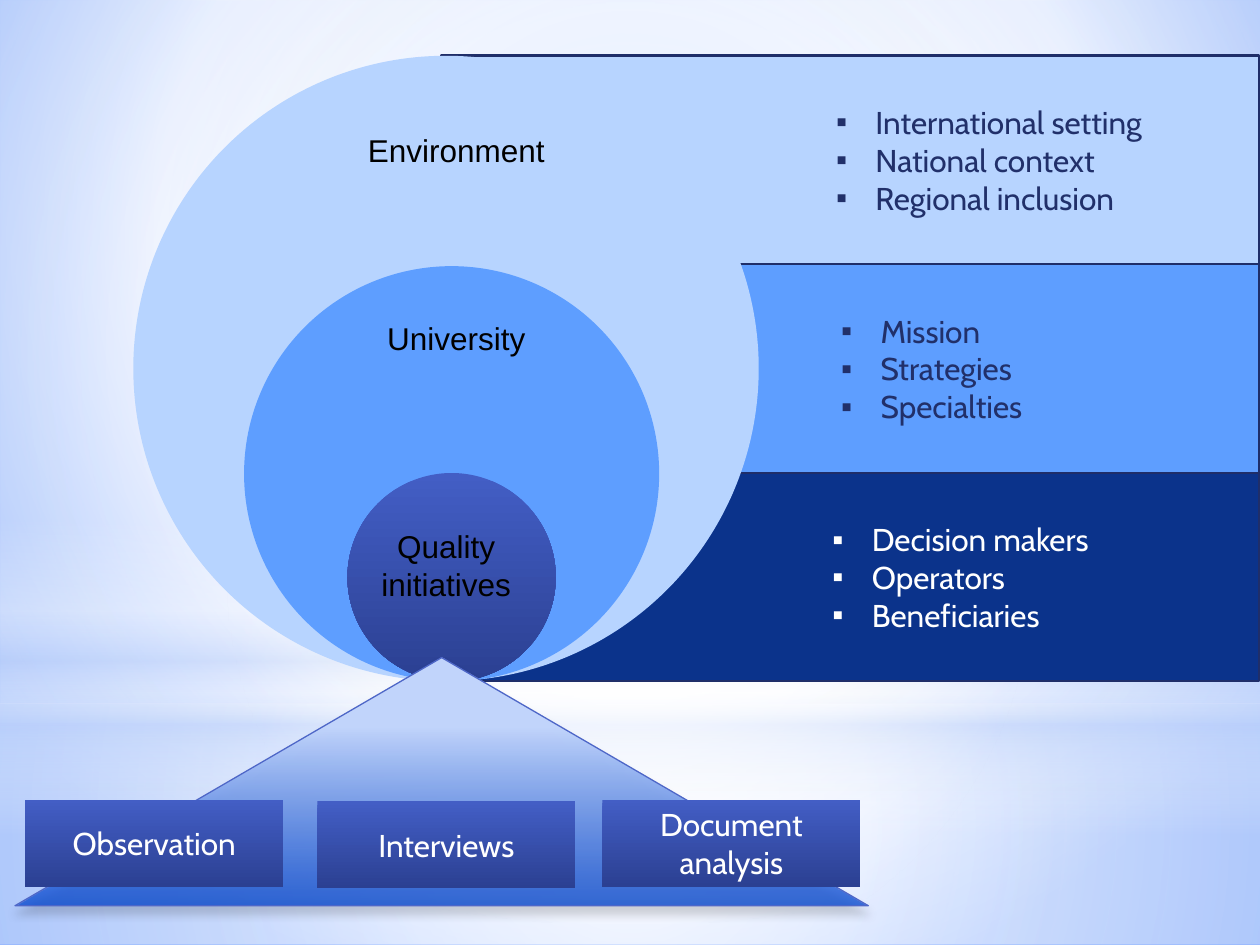
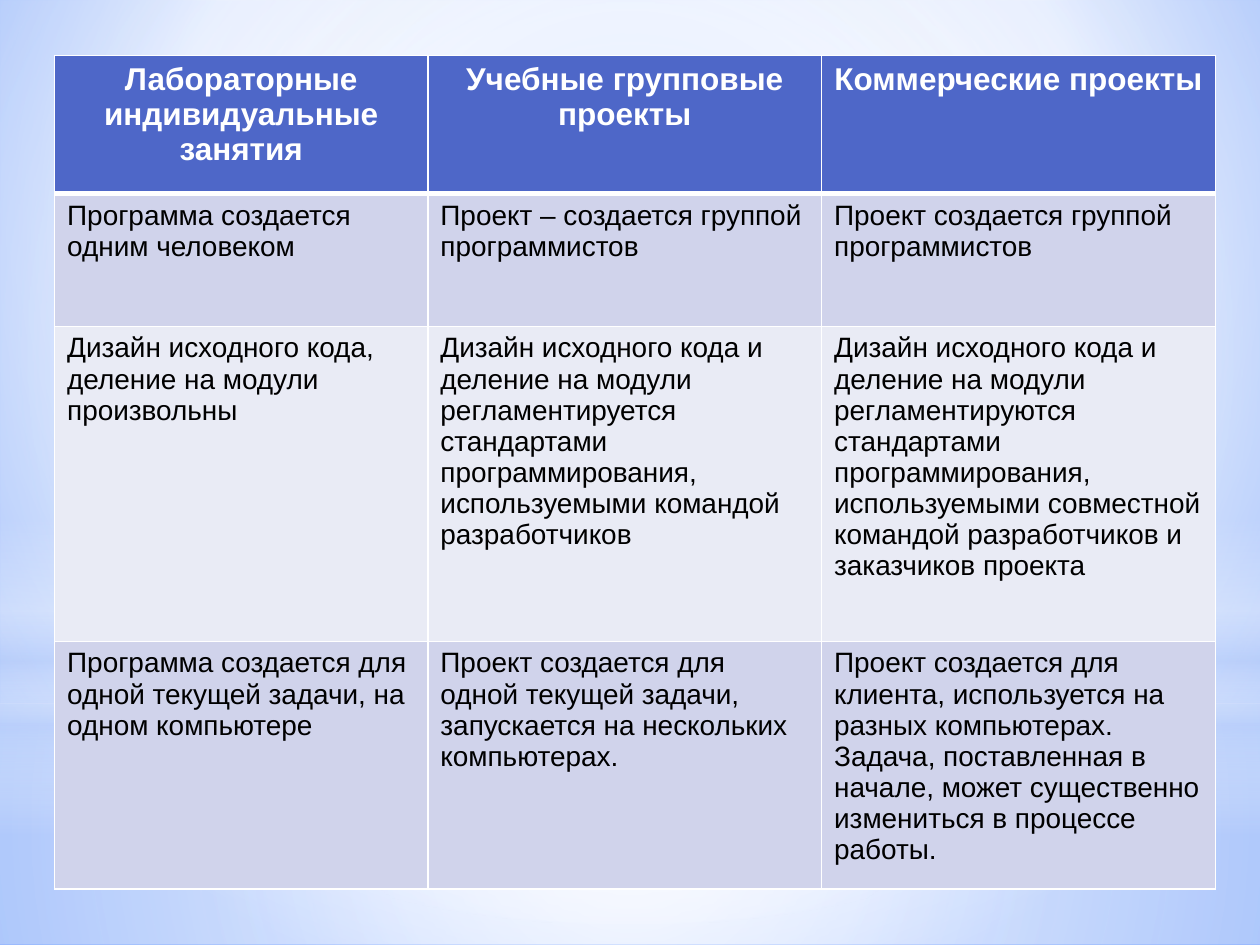
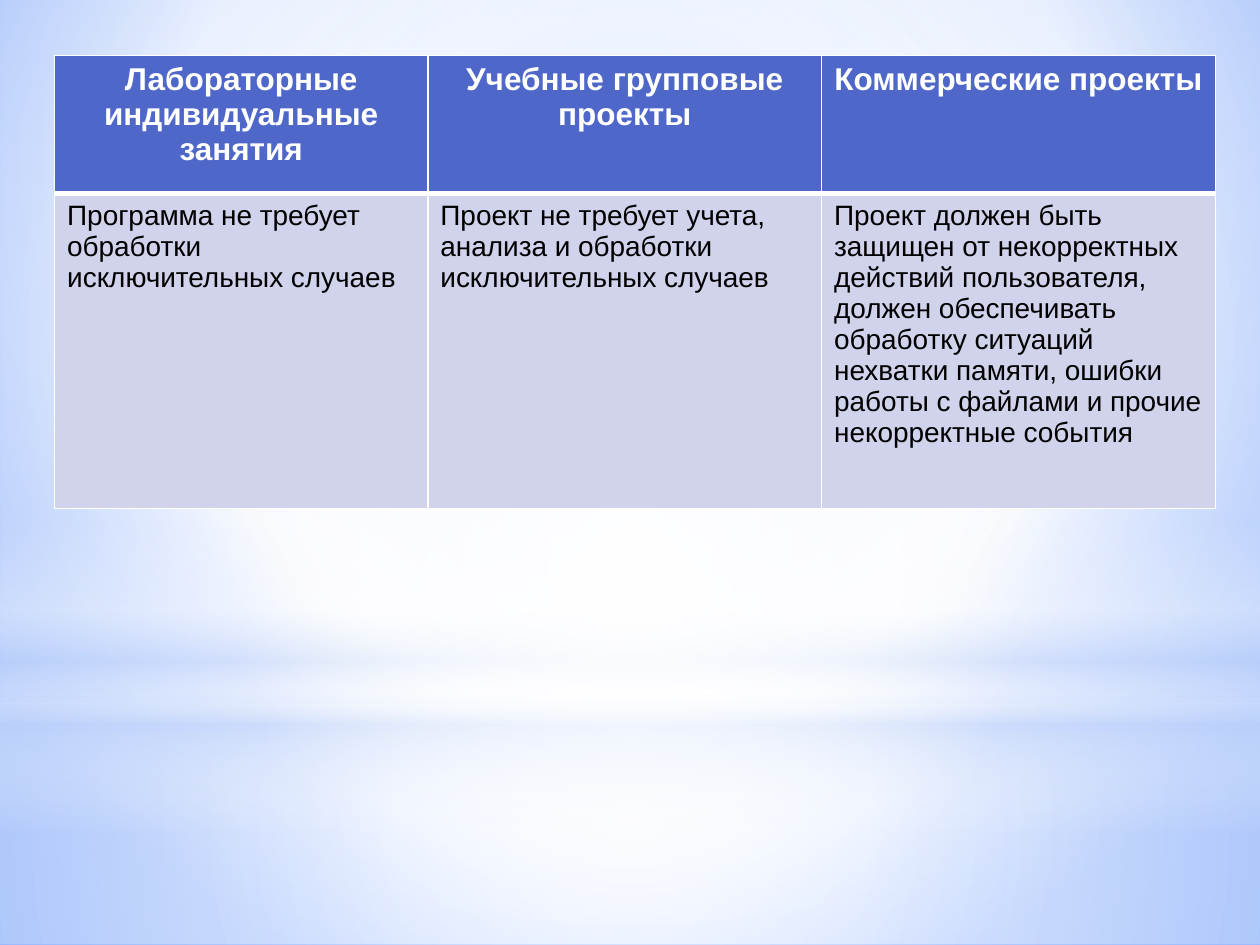
from dataclasses import dataclass

import pptx
import pptx.dml.color
import pptx.enum.shapes
import pptx.enum.text
import pptx.oxml.ns
import pptx.util
from lxml import etree

Pt = pptx.util.Pt
qn = pptx.oxml.ns.qn
Shape = pptx.enum.shapes.MSO_SHAPE
Align = pptx.enum.text.PP_ALIGN
Anchor = pptx.enum.text.MSO_ANCHOR


@dataclass(frozen=True)
class Theme:
    width: float = 720
    height: float = 540
    heading_size: float = 18
    body_size: float = 16
    sans: str = "Arial"
    display: str = "Cabin"
    white: str = "FFFFFF"
    black: str = "000000"
    haze: str = "C1D4FB"
    ink: str = "21306A"
    outline: str = "1F2E69"
    accent: str = "4E67C8"
    light: str = "B7D4FF"
    medium: str = "5E9EFF"
    dark: str = "0B338B"
    table_rows: tuple = ("D0D3EB", "E9EBF5")
    # Gradient stops are (position %, colour, opacity %).
    box_stops: tuple = ((0, "435EC5", 100), (100, "2B4092", 100))
    pyramid_stops: tuple = ((28, "C1D4FB", 100), (100, "0D4DD1", 80))
    page_stops: tuple = ((0, "ABC6FF", 100), (60, "FFFFFF", 100), (100, "6698FF", 100))


def rgb(colour):
    return pptx.dml.color.RGBColor.from_string(colour)


def add_xml(parent, tag, **attributes):
    element = etree.SubElement(parent, qn(tag))
    for name, value in attributes.items():
        element.set(name, str(value))
    return element


def add_colour(parent, colour, opacity=100):
    element = add_xml(parent, "a:srgbClr", val=colour)
    if opacity < 100:
        add_xml(element, "a:alpha", val=opacity * 1000)


def set_gradient(fill, owner, stops, focus=None):
    """Fill top to bottom, or outwards from the focus insets (left, top, right, bottom)."""
    fill.gradient()
    gradient = next(owner.iter(qn("a:gradFill")))
    for child in list(gradient):
        gradient.remove(child)
    stop_list = add_xml(gradient, "a:gsLst")
    for position, colour, opacity in stops:
        add_colour(add_xml(stop_list, "a:gs", pos=position * 1000), colour, opacity)
    if focus is None:
        add_xml(gradient, "a:lin", ang=90 * 60000, scaled=0)
    else:
        circle = add_xml(gradient, "a:path", path="circle")
        sides = {side: inset * 1000 for side, inset in zip("ltrb", focus)}
        add_xml(circle, "a:fillToRect", **sides)


class Deck:
    def __init__(self, theme):
        self.theme = theme
        self.presentation = pptx.Presentation()
        self.presentation.slide_width = Pt(theme.width)
        self.presentation.slide_height = Pt(theme.height)
        self.layout = self.presentation.slide_layouts[6]
        self.slide = None

    def add_slide(self):
        self.slide = self.presentation.slides.add_slide(self.layout)

    def share_backdrop(self):
        """Draw the soft light on the current slide, then move it to the layout."""
        theme, layout = self.theme, self.layout
        white, haze = theme.white, theme.haze
        for placeholder in list(layout.placeholders):
            layout.shapes.element.remove(placeholder.element)
        set_gradient(layout.background.fill, layout.element, theme.page_stops, (20, 10, 20, 60))
        centre = (50, 50, 50, 50)
        horizon = 402
        layers = (
            (Shape.RECTANGLE, horizon, theme.height - horizon, centre,
             ((0, white, 91), (37, white, 76), (100, haze, 79))),
            (Shape.RECTANGLE, 0, horizon, centre,
             ((0, white, 89), (48, white, 62), (100, haze, 79))),
            (Shape.RECTANGLE, 296.6, 180, None,
             ((0, white, 0), (29, white, 30), (45, haze, 40),
              (55, white, 26), (65, haze, 60), (100, white, 0))),
            (Shape.OVAL, 126, horizon, centre, ((0, white, 100), (56, white, 0))),
        )
        for kind, top, height, focus, stops in layers:
            layer = self.add_shape(kind, (0, top, theme.width, height), stops, focus=focus)
            layout.shapes.element.append(layer.element)

    def add_shape(self, kind, box, fill, line=None, line_width=1.25, focus=None):
        """Fill is a colour, or a tuple of gradient stops."""
        shape = self.slide.shapes.add_shape(kind, *map(Pt, box))
        shape.shadow.inherit = False
        if isinstance(fill, str):
            shape.fill.solid()
            shape.fill.fore_color.rgb = rgb(fill)
        else:
            set_gradient(shape.fill, shape.element.spPr, fill, focus)
        if line:
            shape.line.color.rgb = rgb(line)
            shape.line.width = Pt(line_width)
        else:
            shape.line.fill.background()
        return shape

    def add_shadow(self, shape, colour, opacity, blur, distance):
        effects = shape.element.spPr.find(qn("a:effectLst"))
        shadow = add_xml(effects, "a:outerShdw", blurRad=Pt(blur), dist=Pt(distance),
                         dir=90 * 60000, algn="ctr", rotWithShape=0)
        add_colour(shadow, colour, opacity)

    def add_text(self, paragraph, text, font, size, colour, bold=False, align=Align.LEFT):
        paragraph.alignment = align
        for number, line in enumerate(text.split("\n")):
            if number:
                paragraph.add_line_break()
            run = paragraph.add_run()
            run.text = line
            run.font.name = font
            run.font.size = Pt(size)
            run.font.bold = bold
            run.font.color.rgb = rgb(colour)

    def add_label(self, text, box):
        frame = self.slide.shapes.add_textbox(*map(Pt, box)).text_frame
        frame.word_wrap = True
        self.add_text(frame.paragraphs[0], text, self.theme.sans, self.theme.heading_size,
                      self.theme.black, align=Align.CENTER)

    def add_box(self, text, box):
        frame = self.add_shape(Shape.RECTANGLE, box, self.theme.box_stops).text_frame
        frame.word_wrap = True
        frame.vertical_anchor = Anchor.MIDDLE
        self.add_text(frame.paragraphs[0], text, self.theme.display, self.theme.heading_size,
                      self.theme.white, align=Align.CENTER)

    def add_bullet_band(self, items, box, fill, colour, indent):
        band = self.add_shape(Shape.RECTANGLE, box, fill, self.theme.outline)
        frame = band.text_frame
        frame.word_wrap = True
        frame.vertical_anchor = Anchor.MIDDLE
        for number, item in enumerate(items):
            paragraph = frame.add_paragraph() if number else frame.paragraphs[0]
            properties = paragraph._p.get_or_add_pPr()
            properties.set("marL", str(Pt(indent)))
            properties.set("indent", str(Pt(-22.5)))
            add_xml(properties, "a:buFont", typeface=self.theme.sans)
            add_xml(properties, "a:buChar", char="▪")
            self.add_text(paragraph, item, self.theme.display, self.theme.heading_size, colour)

    def add_table(self, rows, left, top, widths, heights):
        """The first row is the header; the others take alternating fills."""
        theme = self.theme
        frame = self.slide.shapes.add_table(len(rows), len(widths), Pt(left), Pt(top),
                                            Pt(sum(widths)), Pt(sum(heights)))
        table = frame.table
        for column, width in zip(table.columns, widths):
            column.width = Pt(width)
        for number, (row, height) in enumerate(zip(rows, heights)):
            table.rows[number].height = Pt(height)
            header = number == 0
            for column, text in enumerate(row):
                cell = table.cell(number, column)
                self.add_borders(cell, top=3 if number == 1 else 1, bottom=3 if header else 1)
                cell.fill.solid()
                fill = theme.accent if header else theme.table_rows[(number - 1) % 2]
                cell.fill.fore_color.rgb = rgb(fill)
                self.add_text(cell.text_frame.paragraphs[0], text, theme.sans,
                              theme.heading_size if header else theme.body_size,
                              theme.white if header else theme.black, header,
                              Align.CENTER if header else Align.LEFT)

    def add_borders(self, cell, top, bottom):
        properties = cell._tc.get_or_add_tcPr()
        for side, width in (("L", 1), ("R", 1), ("T", top), ("B", bottom)):
            border = add_xml(properties, f"a:ln{side}", w=Pt(width))
            add_colour(add_xml(border, "a:solidFill"), self.theme.white)


def add_context_slide(deck):
    theme = deck.theme
    top, band_height, band_right = 31.7, 119.2, 719.5
    bands = (
        (252, theme.light, theme.ink, 241.2,
         ("International setting", "National context", "Regional inclusion")),
        (277.2, theme.medium, theme.ink, 218.9, ("Mission", "Strategies", "Specialties")),
        (257.8, theme.dark, theme.white, 233.3,
         ("Decision makers", "Operators", "Beneficiaries")),
    )
    for level, (left, fill, colour, indent, items) in enumerate(bands):
        box = (left, top + level * band_height, band_right - left, band_height)
        deck.add_bullet_band(items, box, fill, colour, indent)

    circle_bottom = top + 3 * band_height
    for centre, diameter, fill in ((254.9, 357.4, theme.light), (258.1, 237.2, theme.medium),
                                   (258.1, 119, theme.box_stops)):
        box = (centre - diameter / 2, circle_bottom - diameter, diameter, diameter)
        deck.add_shape(Shape.OVAL, box, fill)

    for text, left, label_top, height in (("Environment", 178.6, 71.5, 29),
                                          ("University", 178.6, 178.8, 29),
                                          ("Quality\ninitiatives", 172.8, 297.7, 51)):
        deck.add_label(text, (left, label_top, 164.2, height))

    pyramid = deck.add_shape(Shape.ISOSCELES_TRIANGLE, (8.6, 375.8, 487.6, 141.8),
                             theme.pyramid_stops, theme.accent, 0.75)
    deck.add_shadow(pyramid, theme.black, opacity=20, blur=5, distance=4)
    for text, left, box_top in (("Observation", 14.4, 457), ("Interviews", 181.3, 458),
                                ("Document analysis", 344.2, 457)):
        deck.add_box(text, (left, box_top, 147.5, 49.7))


def add_comparison_slide(deck, rows, heights):
    header = ("Лабораторные индивидуальные занятия", "Учебные групповые проекты",
              "Коммерческие проекты")
    deck.add_table((header, *rows), 31.2, 31.7, (213.3, 225, 225), (79, *heights))


def main():
    deck = Deck(Theme())
    deck.add_slide()
    deck.share_backdrop()
    add_context_slide(deck)

    deck.add_slide()
    add_comparison_slide(deck, (
        ("Программа создается одним человеком",
         "Проект – создается группой программистов",
         "Проект создается группой программистов"),
        ("Дизайн исходного кода, деление на модули произвольны",
         "Дизайн исходного кода и деление на модули регламентируется стандартами "
         "программирования, используемыми командой разработчиков",
         "Дизайн исходного кода и деление на модули регламентируются стандартами "
         "программирования, используемыми совместной командой разработчиков и "
         "заказчиков проекта"),
        ("Программа создается для одной текущей задачи, на одном компьютере",
         "Проект создается для одной текущей задачи, запускается на нескольких "
         "компьютерах.",
         "Проект создается для клиента, используется на разных компьютерах. Задача, "
         "поставленная в начале, может существенно измениться в процессе работы."),
    ), (75.9, 180, 141.6))

    deck.add_slide()
    add_comparison_slide(deck, (
        ("Программа не требует обработки исключительных случаев",
         "Проект не требует учета, анализа и обработки исключительных случаев",
         "Проект должен быть защищен от некорректных действий пользователя, должен "
         "обеспечивать обработку ситуаций нехватки памяти, ошибки работы с файлами и "
         "прочие некорректные события"),
    ), (180,))

    deck.presentation.save("out.pptx")


if __name__ == "__main__":
    main()
